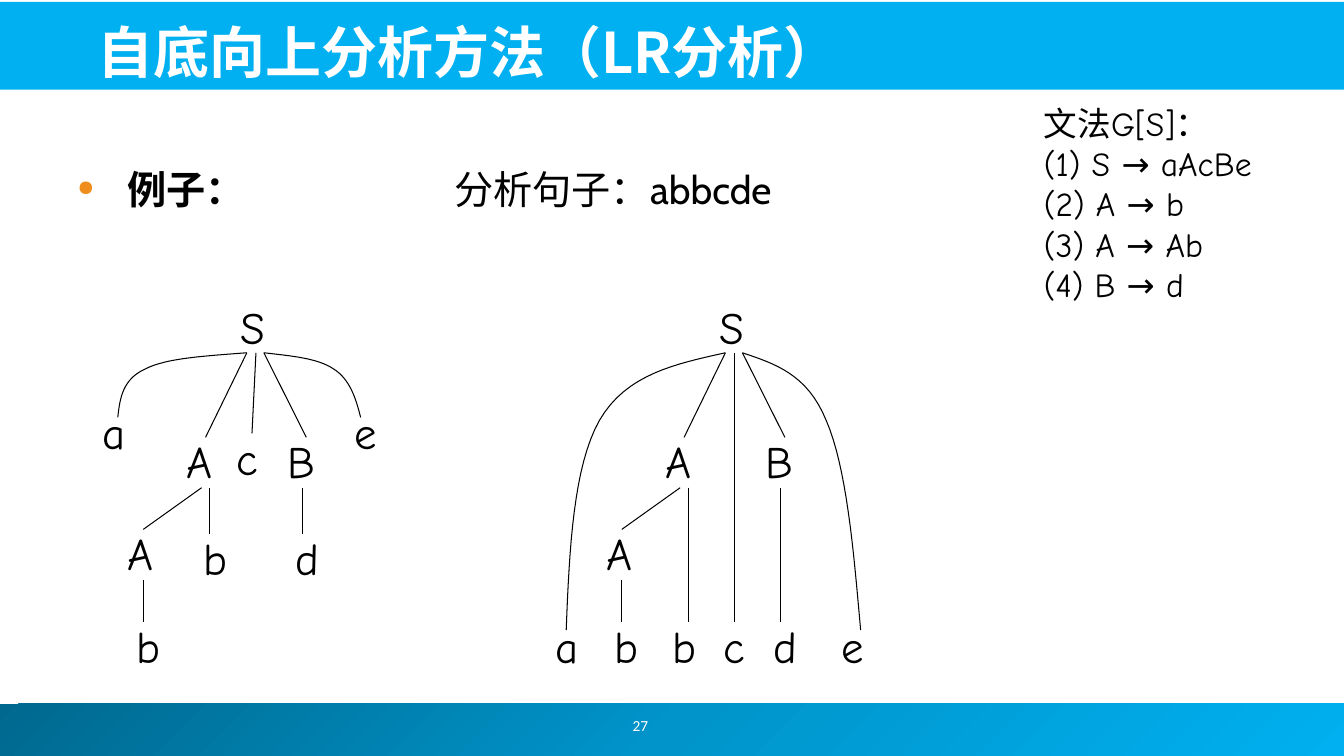
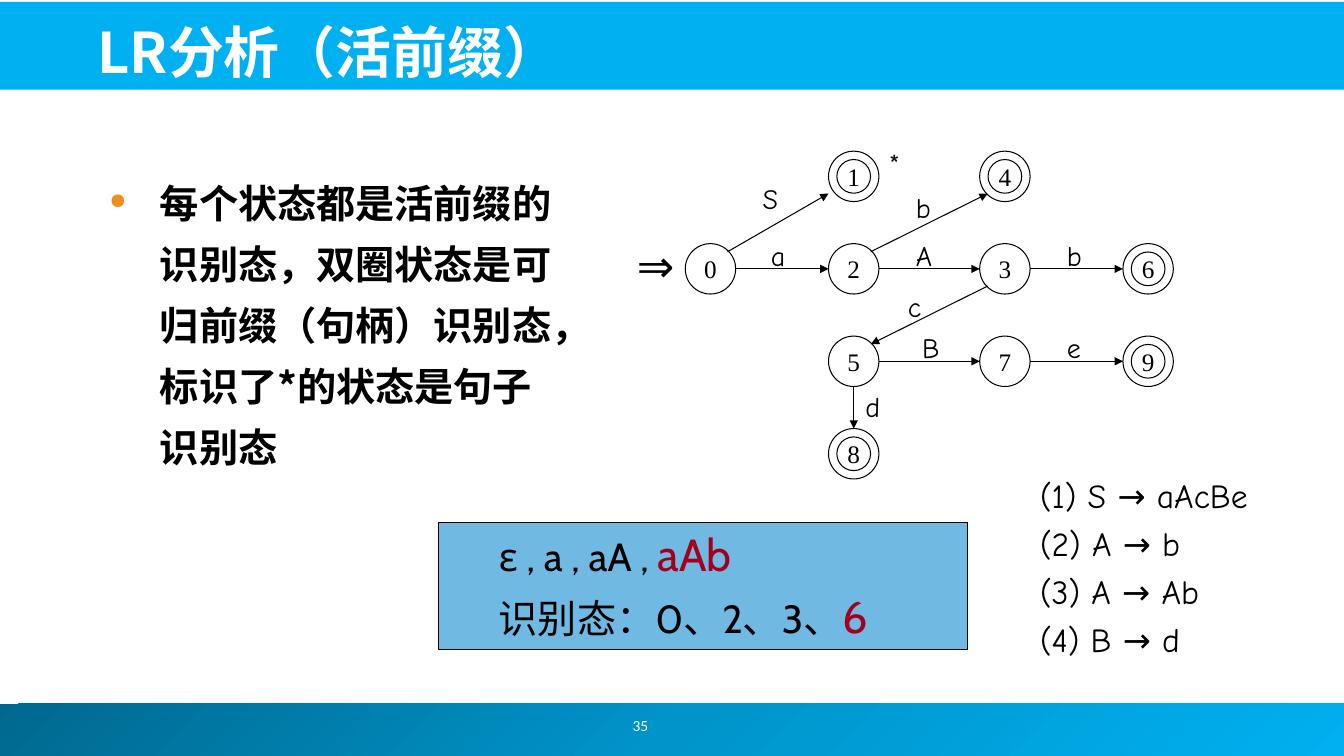
from copy import deepcopy
from dataclasses import dataclass

from lxml import etree
from pptx import Presentation
from pptx.dml.color import RGBColor
from pptx.enum.shapes import MSO_CONNECTOR, MSO_SHAPE
from pptx.enum.text import MSO_ANCHOR, PP_ALIGN
from pptx.oxml.ns import qn
from pptx.util import Cm, Pt

RECTANGLE, OVAL = MSO_SHAPE.RECTANGLE, MSO_SHAPE.OVAL
STRAIGHT = MSO_CONNECTOR.STRAIGHT
MIDDLE = MSO_ANCHOR.MIDDLE
CENTER = PP_ALIGN.CENTER


@dataclass(frozen=True)
class Theme:
    band: str = "00B0F0"
    footer: tuple = ((0, "00688E"), (0.5, "0094CA"), (1, "00B0F0"))
    ink: str = "000000"
    white: str = "FFFFFF"
    bullet: str = "EF8E1C"
    panel: str = "70B9E3"
    accent: str = "A4001D"
    asian: str = "Noto Sans CJK JP"
    sans: str = "Cabin"
    hand: str = "Comic Neue"
    serif: str = "Times New Roman"
    small: str = "Calibri"
    title_size: int = 40
    symbol_size: int = 32
    body_size: int = 28
    grammar_size: int = 24
    label_size: int = 20
    state_size: int = 18
    page_size: int = 11


THEME = Theme()


def style(name, size, color=THEME.ink, bold=False, **paragraph):
    return {"font": {"name": name, "size": Pt(size), "bold": bold},
            "color": color, "paragraph": paragraph}


TITLE = style(THEME.asian, THEME.title_size, THEME.white, True, line_spacing=Pt(48))
PAGE = style(THEME.small, THEME.page_size, THEME.white, alignment=CENTER)
HEADING = style(THEME.sans, THEME.body_size, bold=True, line_spacing=Pt(38))
BODY = style(THEME.asian, THEME.body_size, bold=True, line_spacing=Pt(43.6))
SENTENCE = style(THEME.sans, THEME.body_size, line_spacing=Pt(38))
RESULT = style(THEME.sans, THEME.symbol_size, THEME.accent)
SYMBOL = style(THEME.hand, THEME.symbol_size)
LABEL = style(THEME.hand, THEME.label_size)
STATE = style(THEME.serif, THEME.state_size, alignment=CENTER)
GRAMMAR = style(THEME.hand, THEME.grammar_size, line_spacing=Pt(28.8))
GRAMMAR_LOOSE = style(THEME.hand, THEME.grammar_size, line_spacing=Pt(34.5))

RULES = ["(1) S → aAcBe", "(2) A → b", "(3) A → Ab", "(4) B → d"]

SHARED_NODES = [("S", 5.82, 7.42), ("A", 4.45, 10.8), ("B", 6.99, 10.8), ("A", 2.97, 13.13)]
SHARED_BRANCHES = [
    (6.22, 8.89, 5.18, 11.02), (6.65, 8.89, 7.72, 11.02),
    (5.08, 12.29, 3.61, 13.34), (3.61, 14.61, 3.61, 15.67),
]
TREES = [
    {
        "left": 0,
        "leaves": [("a", 2.34, 10.08), ("b", 3.18, 15.47), ("b", 4.88, 13.26),
                   ("c", 5.72, 10.72), ("d", 7.19, 13.26), ("e", 8.69, 10.08)],
        "branches": [(6.45, 8.89, 6.35, 10.92), (5.28, 12.29, 5.28, 13.46),
                     (7.62, 12.29, 7.62, 13.46)],
        "arcs": [
            [(6.22, 8.89), (5.21, 8.97), (4.19, 9.02), (3.66, 9.3),
             (3.1, 9.55), (3.02, 10.03), (2.97, 10.52)],
            [(6.65, 8.89), (7.32, 8.97), (8, 9.02), (8.41, 9.3),
             (8.81, 9.55), (8.97, 10.03), (9.09, 10.52)],
        ],
    },
    {
        "left": 12.06,
        "leaves": [(text, x, 15.47) for text, x in
                   zip("abbcde", (1.7, 3.18, 4.65, 5.92, 7.19, 8.89))],
        "branches": [(6.45, 8.89, 6.45, 15.67), (5.28, 12.29, 5.28, 15.67),
                     (7.62, 12.29, 7.62, 15.67)],
        "arcs": [
            [(6.22, 8.89), (4.98, 9.17), (3.73, 9.42), (3.05, 10.59),
             (2.39, 11.76), (2.29, 13.82), (2.21, 15.88)],
            [(6.65, 8.89), (7.47, 9.17), (8.28, 9.42), (8.76, 10.59),
             (9.27, 11.76), (9.45, 13.82), (9.63, 15.88)],
        ],
    },
]

COLUMNS = (17.27, 20.88, 24.69, 28.3)
FIRST_ROW, ROW_STEP = 3.81, 2.33
STATE_WIDTH, RING_INSET = 1.27, 0.21
STATES = {0: (0, 1), 1: (1, 0), 2: (1, 1), 3: (2, 1), 4: (2, 0),
          5: (1, 2), 6: (3, 1), 7: (2, 2), 8: (1, 3), 9: (3, 2)}
FINAL_STATES = {1, 4, 6, 8, 9}
ANCHORS = {"right": (1, 0.5), "left": (0, 0.5), "top": (0.5, 0), "bottom": (0.5, 1),
           "upper right": (0.84, 0.16), "lower left": (0.16, 0.84), "left low": (0, 0.84)}
MOVES = [
    (0, "upper right", 1, "left low", "S", 18.97, 4.45),
    (0, "right", 2, "left", "a", 19.18, 5.89),
    (2, "upper right", 4, "lower left", "b", 22.83, 4.67),
    (2, "right", 3, "left", "A", 22.83, 5.89),
    (3, "right", 6, "left", "b", 26.64, 5.89),
    (3, "lower left", 5, "upper right", "c", 22.63, 7.16),
    (5, "right", 7, "left", "B", 22.99, 8.2),
    (7, "right", 9, "left", "e", 26.64, 8.2),
    (5, "bottom", 8, "top", "d", 21.56, 9.7),
]


def assign(target, values):
    for name, value in values.items():
        setattr(target, name, value)


def add_element(parent, tag, **values):
    element = etree.SubElement(parent, qn(tag))
    for name, value in values.items():
        element.set(name, value)
    return element


def add_bullet(para):
    properties = para._p.get_or_add_pPr()
    properties.set("marL", str(Cm(2.54)))
    properties.set("indent", str(Cm(-1.27)))
    color = add_element(properties, "a:buClr")
    add_element(color, "a:srgbClr", val=THEME.bullet)
    add_element(properties, "a:buSzPct", val="55000")
    add_element(properties, "a:buChar", char="●")


def write(shape, lines, look, bullet=False, gap=0, **frame):
    box = shape.text_frame
    assign(box, {"word_wrap": True, **frame})
    for index, line in enumerate(lines):
        para = box.paragraphs[0] if index == 0 else box.add_paragraph()
        if bullet:
            add_bullet(para)
        assign(para, look["paragraph"])
        if index and gap:
            para.space_before = Pt(gap)
        for text, span_look in [(line, look)] if isinstance(line, str) else line:
            span = para.add_run()
            span.text = text
            assign(span.font, span_look["font"])
            span.font.color.rgb = RGBColor.from_string(span_look["color"])
            add_element(span.font._element, "a:ea", typeface=THEME.asian)


def add_text(slide, place, lines, look, **options):
    write(slide.shapes.add_textbox(*map(Cm, place)), lines, look, **options)


def paint(shape, fill=None, line=None, width=0.75):
    shape.shadow.inherit = False
    if fill:
        shape.fill.solid()
        shape.fill.fore_color.rgb = RGBColor.from_string(fill)
    else:
        shape.fill.background()
    if line:
        shape.line.color.rgb = RGBColor.from_string(line)
        shape.line.width = Pt(width)
    else:
        shape.line.fill.background()


def add_shape(slide, kind, place, **colors):
    shape = slide.shapes.add_shape(kind, *map(Cm, place))
    paint(shape, **colors)
    return shape


def add_line(slide, ends, arrow=False):
    line = slide.shapes.add_connector(STRAIGHT, *map(Cm, ends))
    line.line.color.rgb = RGBColor.from_string(THEME.ink)
    line.line.width = Pt(0.75)
    if arrow:
        add_element(line.line._get_or_add_ln(), "a:tailEnd", type="triangle")
    add_element(line._element.spPr, "a:effectLst")


def add_arc(slide, points, left, steps=16):
    track = []
    for first in range(0, len(points) - 1, 3):
        controls = points[first:first + 4]
        for step in range(1, steps + 1):
            t = step / steps
            weights = ((1 - t) ** 3, 3 * t * (1 - t) ** 2, 3 * t * t * (1 - t), t ** 3)
            x, y = (sum(w * point[axis] for w, point in zip(weights, controls))
                    for axis in (0, 1))
            track.append((Cm(left + x), Cm(y)))
    x, y = points[0]
    builder = slide.shapes.build_freeform(Cm(left + x), Cm(y))
    builder.add_line_segments(track, close=False)
    paint(builder.convert_to_shape(), line=THEME.ink)


def add_footer_band(slide):
    band = add_shape(slide, RECTANGLE, (-0.13, 17.73, 34.01, 1.32))
    band.fill.gradient()
    band.fill.gradient_angle = 315
    stop_list = band._element.spPr.find(".//" + qn("a:gsLst"))
    stop_list.insert(1, deepcopy(stop_list[0]))
    for stop, (position, color) in zip(band.fill.gradient_stops, THEME.footer):
        stop.position = position
        stop.color.rgb = RGBColor.from_string(color)


def start_slide(deck, title, page):
    slide = deck.slides.add_slide(deck.slide_layouts[6])
    add_footer_band(slide)
    add_shape(slide, RECTANGLE, (-0.05, 0.05, 33.93, 2.21), fill=THEME.band)
    add_text(slide, (12.47, 17.65, 7.34, 1.27), [page], PAGE, vertical_anchor=MIDDLE)
    add_text(slide, (2.21, 0.28, 30.63, 2.01), [title], TITLE, vertical_anchor=MIDDLE)
    return slide


def add_symbol(slide, text, x, y, look=SYMBOL):
    add_text(slide, (x, y, 1.27, 1.6), [text], look)


def add_tree(slide, tree):
    left = tree["left"]
    for text, x, y in SHARED_NODES + tree["leaves"]:
        add_symbol(slide, text, left + x, y)
    for x1, y1, x2, y2 in SHARED_BRANCHES + tree["branches"]:
        add_line(slide, (left + x1, y1, left + x2, y2))
    for points in tree["arcs"]:
        add_arc(slide, points, left)


def state_corner(state):
    column, row = STATES[state]
    return COLUMNS[column], FIRST_ROW + row * ROW_STEP


def anchor_point(state, side):
    return [start + STATE_WIDTH * share
            for start, share in zip(state_corner(state), ANCHORS[side])]


def add_state(slide, state):
    x, y = state_corner(state)
    if state in FINAL_STATES:
        inner = STATE_WIDTH - 2 * RING_INSET
        add_shape(slide, OVAL, (x + RING_INSET, y + RING_INSET, inner, inner), line=THEME.ink)
    circle = add_shape(slide, OVAL, (x, y, STATE_WIDTH, STATE_WIDTH), line=THEME.ink)
    write(circle, [str(state)], STATE, word_wrap=False, vertical_anchor=MIDDLE,
          margin_left=0, margin_right=0, margin_top=0, margin_bottom=0)


def build_trees(deck):
    slide = start_slide(deck, "自底向上分析方法（LR分析）", "27")
    add_text(slide, (0.43, 3.89, 7.21, 1.4), ["例子："], HEADING, bullet=True)
    add_text(slide, (11.2, 3.89, 9.8, 1.4), ["分析句子：abbcde"], SENTENCE)
    for tree in TREES:
        add_tree(slide, tree)
    add_text(slide, (26.06, 2.46, 7.54, 5.38), ["文法G[S]：", *RULES], GRAMMAR)


def build_automaton(deck):
    slide = start_slide(deck, "LR分析（活前缀）", "35")
    add_text(slide, (1.24, 4.04, 13.28, 11.2),
             ["每个状态都是活前缀的识别态，双圈状态是可归前缀（句柄）识别态，标识了*的状态是句子识别态"],
             BODY, bullet=True)
    for state in STATES:
        add_state(slide, state)
    for start, leave, end, enter, text, x, y in MOVES:
        add_line(slide, anchor_point(start, leave) + anchor_point(end, enter), arrow=True)
        add_symbol(slide, text, x, y, LABEL)
    add_symbol(slide, "⇒", 15.8, 5.87)
    add_symbol(slide, "*", 22.15, 3.56, LABEL)
    add_text(slide, (25.96, 11.63, 6.32, 5.18), RULES, GRAMMAR_LOOSE)
    panel = add_shape(slide, RECTANGLE, (11.05, 13.16, 13.34, 3.2),
                      fill=THEME.panel, line=THEME.ink, width=0.5)
    write(panel, [[("ε , a , aA , ", SENTENCE), ("aAb", RESULT)],
                  [("识别态：0、2、3、", SENTENCE), ("6", RESULT)]],
          {**SENTENCE, "paragraph": {**SENTENCE["paragraph"], "alignment": PP_ALIGN.LEFT}},
          gap=6, margin_left=Cm(1.52), vertical_anchor=MSO_ANCHOR.TOP)


def main():
    deck = Presentation()
    assign(deck, {"slide_width": Cm(33.87), "slide_height": Cm(19.05)})
    build_trees(deck)
    build_automaton(deck)
    deck.save("out.pptx")


if __name__ == "__main__":
    main()
